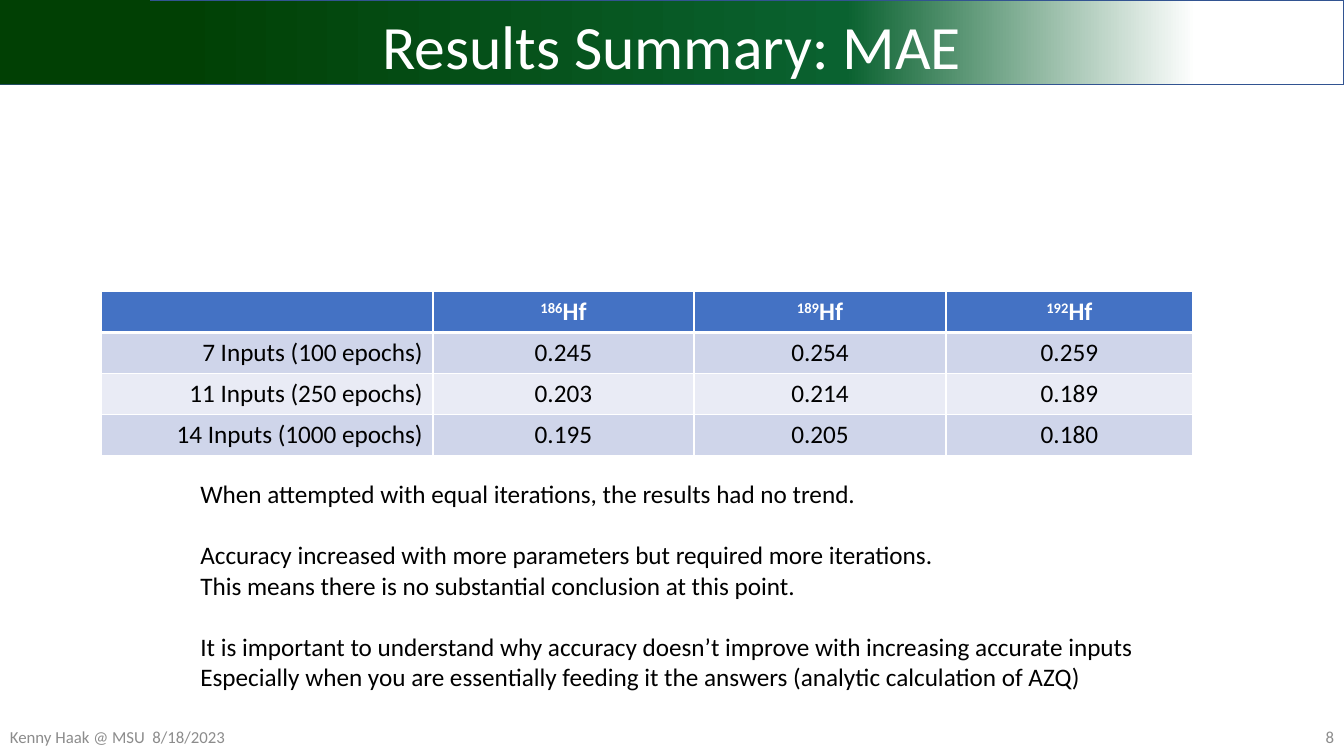
from copy import deepcopy

from lxml.etree import SubElement
from pptx import Presentation
from pptx.dml.color import RGBColor
from pptx.enum.shapes import MSO_SHAPE
from pptx.enum.text import MSO_ANCHOR, PP_ALIGN
from pptx.oxml.ns import qn
from pptx.util import Cm, Pt

SLIDE_WIDTH, SLIDE_HEIGHT = 33.87, 19.05
WHITE, BLACK, GREY = "FFFFFF", "000000", "8C8C8C"
DARK_GREEN, GREEN = "014004", "0A6230"
HEADER_BLUE, ROW_FILLS = "4472C4", ("CFD5EA", "E9EBF5")

ISOTOPES = [("186", "Hf"), ("189", "Hf"), ("192", "Hf")]
RESULTS = [
    ("7 Inputs (100 epochs)", "0.245", "0.254", "0.259"),
    ("11 Inputs (250 epochs)", "0.203", "0.214", "0.189"),
    ("14 Inputs (1000 epochs)", "0.195", "0.205", "0.180"),
]
CONCLUSIONS = [
    ["When attempted with equal iterations, the results had no trend."],
    ["Accuracy increased with more parameters but required more iterations.",
     "This means there is no substantial conclusion at this point."],
    ["It is important to understand why accuracy doesn’t improve with increasing accurate inputs",
     "Especially when you are essentially feeding it the answers (analytic calculation of AZQ)"],
]


def color(hex_code):
    return RGBColor.from_string(hex_code)


def style(paragraph, size, hex_code, align=PP_ALIGN.LEFT, bold=False):
    paragraph.alignment = align
    font = paragraph.font
    font.name, font.size, font.bold = "Calibri", Pt(size), bold
    font.color.rgb = color(hex_code)


def add_text(slide, box, text, size, hex_code, align=PP_ALIGN.LEFT, anchor=MSO_ANCHOR.TOP):
    frame = slide.shapes.add_textbox(*map(Cm, box)).text_frame
    frame.word_wrap = True
    frame.vertical_anchor = anchor
    paragraph = frame.paragraphs[0]
    paragraph.text = text
    style(paragraph, size, hex_code, align)
    return frame


def add_rectangle(slide, box):
    rectangle = slide.shapes.add_shape(MSO_SHAPE.RECTANGLE, *map(Cm, box))
    rectangle.shadow.inherit = False
    return rectangle


def add_title_band(slide, box, title):
    left, top, width, height = box

    # Gradient band
    band = add_rectangle(slide, box)
    band.line.color.rgb = color("325491")
    band.line.width = Pt(1)
    band.fill.gradient()
    band.fill.gradient_angle = 0
    stop_list = band._element.spPr.find(qn("a:gradFill")).find(qn("a:gsLst"))
    stop_list.append(deepcopy(stop_list[-1]))
    stops = [(0.13, DARK_GREEN), (0.63, GREEN), (0.89, WHITE)]
    for stop, (position, hex_code) in zip(band.fill.gradient_stops, stops):
        stop.position = position
        stop.color.rgb = color(hex_code)

    # Solid left end
    left_end = add_rectangle(slide, (left, top, 3.78, height))
    left_end.fill.solid()
    left_end.fill.fore_color.rgb = color(DARK_GREEN)
    left_end.line.fill.background()

    # Title
    title_width = 19.86
    title_box = (left + (width - title_width) / 2, top + 0.28, title_width, 1.6)
    frame = add_text(slide, title_box, title, 44, WHITE, PP_ALIGN.CENTER)
    frame.paragraphs[0].line_spacing = 0.9


def set_borders(cell, bottom_width):
    properties = cell._tc.get_or_add_tcPr()
    for side, width in (("L", 1), ("R", 1), ("T", 1), ("B", bottom_width)):
        line = SubElement(properties, qn(f"a:ln{side}"), w=str(Pt(width)))
        fill = SubElement(line, qn("a:solidFill"))
        SubElement(fill, qn("a:srgbClr"), val=WHITE)


def add_results_table(slide, box):
    table = slide.shapes.add_table(len(RESULTS) + 1, len(ISOTOPES) + 1, *map(Cm, box)).table
    for column, width in zip(table.columns, (8.36, 6.58, 6.35, 6.22)):
        column.width = Cm(width)

    # Borders and fills
    for row_index, row in enumerate(table.rows):
        is_header = row_index == 0
        for cell in row.cells:
            set_borders(cell, 3 if is_header else 1)
            cell.fill.solid()
            fill = HEADER_BLUE if is_header else ROW_FILLS[(row_index - 1) % 2]
            cell.fill.fore_color.rgb = color(fill)

    # Isotope headings
    for column_index, (mass, element) in enumerate(ISOTOPES, start=1):
        heading = table.cell(0, column_index).text_frame.paragraphs[0]
        mass_run = heading.add_run()
        mass_run.text = mass
        mass_run._r.get_or_add_rPr().set("baseline", "30000")
        heading.add_run().text = element
        style(heading, 18, WHITE, PP_ALIGN.CENTER, bold=True)

    # Errors by model
    for row_index, result in enumerate(RESULTS, start=1):
        for column_index, value in enumerate(result):
            paragraph = table.cell(row_index, column_index).text_frame.paragraphs[0]
            paragraph.text = value
            align = PP_ALIGN.CENTER if column_index else PP_ALIGN.RIGHT
            style(paragraph, 18, BLACK, align)


def add_conclusions(slide, box):
    frame = add_text(slide, box, CONCLUSIONS[0][0], 18, BLACK)
    frame.word_wrap = False
    for group in CONCLUSIONS[1:]:
        for line_index, sentence in enumerate(group):
            paragraph = frame.add_paragraph()
            paragraph.text = sentence
            style(paragraph, 18, BLACK)
            if line_index == 0:
                paragraph.space_before = Pt(22)


def add_footer(slide, box, credit, number):
    left, top, width, height = box
    part_width = 7.62
    add_text(slide, (left, top, part_width, height), credit, 12, GREY,
             anchor=MSO_ANCHOR.MIDDLE)
    add_text(slide, (left + width - part_width, top, part_width, height), number, 12, GREY,
             PP_ALIGN.RIGHT, MSO_ANCHOR.MIDDLE)


def main():
    presentation = Presentation()
    presentation.slide_width = Cm(SLIDE_WIDTH)
    presentation.slide_height = Cm(SLIDE_HEIGHT)
    slide = presentation.slides.add_slide(presentation.slide_layouts[6])

    add_title_band(slide, (0, 0, SLIDE_WIDTH, 2.13), "Results Summary: MAE")
    add_footer(slide, (0, 18.06, SLIDE_WIDTH, 1.02), "Kenny Haak @ MSU\u00a0 8/18/2023".replace("\u00a0", " "), "8")
    add_results_table(slide, (2.55, 7.35, 27.51, 4.12))
    add_conclusions(slide, (4.8, 11.94, 24.28, 5.64))
    presentation.save("out.pptx")


if __name__ == "__main__":
    main()
